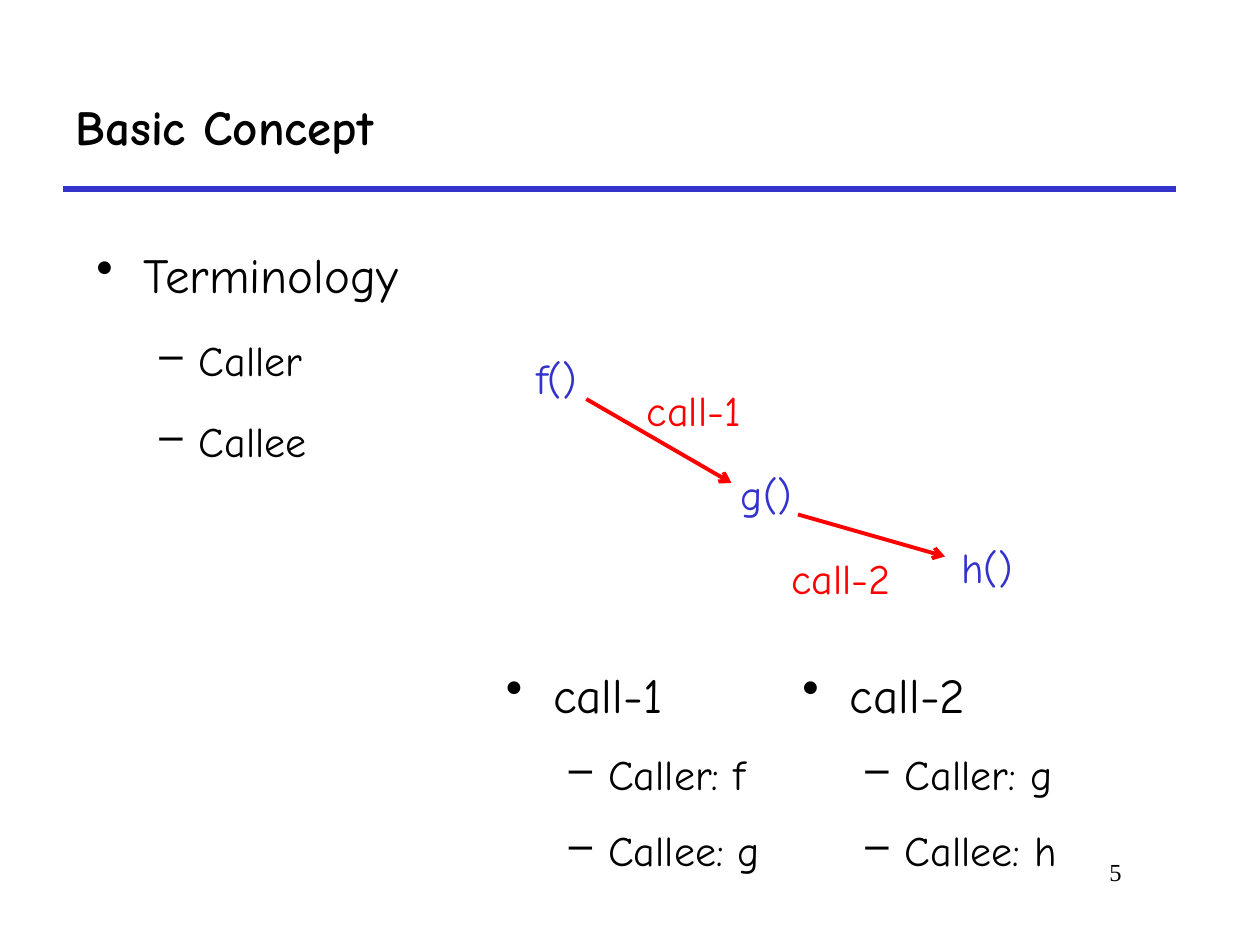
import pptx
import pptx.dml.color
import pptx.enum.shapes
import pptx.enum.text
import pptx.oxml.ns
import pptx.util
from lxml import etree

Pt = pptx.util.Pt
RGBColor = pptx.dml.color.RGBColor
Align = pptx.enum.text.PP_ALIGN
Anchor = pptx.enum.text.MSO_ANCHOR
qn = pptx.oxml.ns.qn

BLACK = RGBColor(0x00, 0x00, 0x00)
BLUE = RGBColor(0x33, 0x33, 0xCC)
RED = RGBColor(0xFF, 0x00, 0x00)


class SlideBuilder:
    """Holds the style and the slide being filled."""

    font_name = "Comic Neue"
    # For each level: bullet, text size, left margin, indent, space before
    levels = (("•", 28, 27, -27, 7), ("–", 24, 58.5, -22.5, 6))

    def __init__(self, slide):
        self.slide = slide

    def format_font(self, paragraph, size, color, bold=False, name=None):
        for run in paragraph.runs:
            run.font.name = name or self.font_name
            run.font.size = Pt(size)
            run.font.bold = bold
            run.font.color.rgb = color

    def title(self, text, left, top, width, height):
        shape = self.slide.shapes.title
        shape.left, shape.top = Pt(left), Pt(top)
        shape.width, shape.height = Pt(width), Pt(height)
        frame = shape.text_frame
        frame.text = text
        frame.vertical_anchor = Anchor.MIDDLE
        frame.paragraphs[0].alignment = Align.LEFT
        self.format_font(frame.paragraphs[0], 28, BLACK, bold=True)

    def text_frame(self, left, top, width, height):
        box = self.slide.shapes.add_textbox(Pt(left), Pt(top), Pt(width), Pt(height))
        box.text_frame.word_wrap = True
        return box.text_frame

    def label(self, text, left, top, width, color, size=24,
              alignment=Align.CENTER, name=None):
        frame = self.text_frame(left, top, width, 36)
        frame.text = text
        paragraph = frame.paragraphs[0]
        paragraph.alignment = alignment
        self.format_font(paragraph, size, color, name=name)

    def bullet_list(self, heading, items, left, top, width, height, line_spacing):
        frame = self.text_frame(left, top, width, height)
        frame.text = "\n".join([heading, *items])
        for index, paragraph in enumerate(frame.paragraphs):
            level = min(index, 1)
            bullet, size, margin, indent, space_before = self.levels[level]
            paragraph.level = level
            properties = paragraph._p.get_or_add_pPr()
            properties.set("marL", str(Pt(margin)))
            properties.set("indent", str(Pt(indent)))
            etree.SubElement(properties, qn("a:buChar"), char=bullet)
            paragraph.line_spacing = line_spacing
            if index:
                paragraph.space_before = Pt(space_before)
            self.format_font(paragraph, size, BLACK)

    def line(self, start, end, color, width, arrow=False):
        connector = self.slide.shapes.add_connector(
            pptx.enum.shapes.MSO_CONNECTOR.STRAIGHT, *map(Pt, start + end))
        connector.line.color.rgb = color
        connector.line.width = Pt(width)
        if arrow:
            etree.SubElement(connector.line._get_or_add_ln(), qn("a:tailEnd"), type="arrow")
        etree.SubElement(connector._element.spPr, qn("a:effectLst"))


def main():
    presentation = pptx.Presentation()
    presentation.slide_width, presentation.slide_height = Pt(720), Pt(540)
    slide = presentation.slides.add_slide(presentation.slide_layouts[5])
    builder = SlideBuilder(slide)

    # Heading, rule and page number
    builder.line((36, 108), (672, 108), BLUE, 3)
    builder.title("Basic Concept", 36, 36, 636, 72)
    builder.label("5", 546, 486, 102, BLACK, size=14,
                  alignment=Align.RIGHT, name="Times New Roman")

    # Terminology
    builder.bullet_list("Terminology", ["Caller", "Callee"], 48, 123, 642, 366, 1.4)

    # Call graph: functions, then the calls between them
    for name, left, top in (("f()", 294, 198), ("g()", 414, 264), ("h()", 540, 306)):
        builder.label(name, left, top, 48, BLUE)
    calls = (
        ("call-1", 342, 216, (335, 228), (418, 276)),
        ("call-2", 426, 312, (456, 294), (540, 318)),
    )
    for name, left, top, start, end in calls:
        builder.line(start, end, RED, 2.25, arrow=True)
        builder.label(name, left, top, 109, RED)

    # Caller and callee of each call
    for name, caller, callee, left in (("call-1", "f", "g", 282), ("call-2", "g", "h", 451.5)):
        builder.bullet_list(name, [f"Caller: {caller}", f"Callee: {callee}"],
                            left, 366, 196.5, 144, 1.3)

    presentation.save("out.pptx")


if __name__ == "__main__":
    main()
